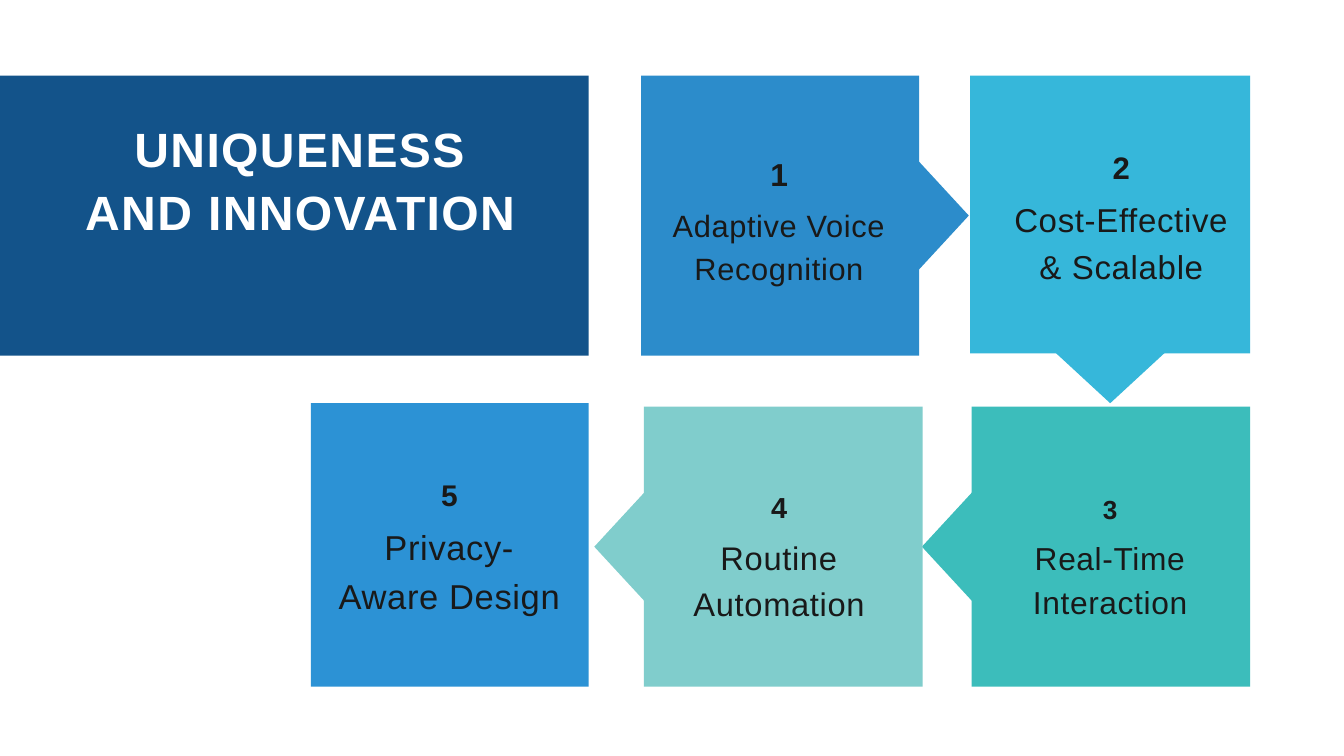
from dataclasses import dataclass

from pptx import Presentation
from pptx.dml.color import RGBColor
from pptx.enum.shapes import MSO_SHAPE
from pptx.enum.text import PP_ALIGN
from pptx.util import Pt

PX = 9525
RECT = MSO_SHAPE.RECTANGLE
TRIANGLE = MSO_SHAPE.ISOSCELES_TRIANGLE
CENTER = PP_ALIGN.CENTER


@dataclass(frozen=True)
class Theme:
    """Colours, font and shared type sizes of the slide."""
    font: str = "Arial"
    ink: str = "191919"
    white: str = "FFFFFF"
    title_fill: str = "13538A"
    title_size: float = 51.5
    title_leading: float = 1.3
    title_spacing: float = 1.5
    number_leading: float = 1.2
    number_spacing: float = 0.1
    label_leading: float = 1.4
    label_spacing: float = 0.7


@dataclass(frozen=True)
class Step:
    """One numbered tile: its box, pointer direction, text box offsets and sizes."""
    box: tuple
    fill: str
    pointer: tuple
    label: str
    text_left: int
    number_top: int
    label_top: int
    number_size: float
    label_size: float


THEME = Theme()
RIGHT, DOWN, LEFT = (1, 0), (0, 1), (-1, 0)
ROTATION = {RIGHT: 90, DOWN: 180, LEFT: 270}
POINTER_W, POINTER_H, POINTER_OFFSET = 156, 72, 35
TEXT_W = 324
TITLE_BOX = (0, 108, 841, 400)
STEPS = [
    Step((916, 108, 397, 400), "2C8CCB", RIGHT, "Adaptive Voice Recognition",
         35, 113, 178, 34, 33),
    Step((1386, 108, 400, 397), "36B7DA", DOWN, "Cost-Effective & Scalable",
         54, 104, 168, 33.3, 35.4),
    Step((1388, 581, 398, 400), "3CBDBB", LEFT, "Real-Time Interaction",
         36, 124, 179, 28, 34),
    Step((920, 581, 398, 400), "80CDCC", LEFT, "Routine Automation",
         31, 118, 178, 31, 35),
    Step((444, 576, 397, 405), "2C92D5", None, "Privacy-Aware Design",
         36, 105, 166, 32, 37),
]


def to_emu(box):
    """Turn a px box into whole EMU lengths."""
    return [round(v * PX) for v in box]


def add_block(s, kind, box, color, rotation=0):
    """Add a plain filled shape without line or shadow."""
    sp = s.shapes.add_shape(kind, *to_emu(box))
    sp.shadow.inherit = False
    sp.fill.solid()
    sp.fill.fore_color.rgb = RGBColor.from_string(color)
    sp.line.fill.background()
    sp.rotation = rotation


def add_text(s, box, text, size, color, leading, spacing, bold=False):
    """Add a centred, wrapped text box with fixed line height and letter spacing."""
    tf = s.shapes.add_textbox(*to_emu(box)).text_frame
    tf.word_wrap = True
    tf.margin_left = tf.margin_top = tf.margin_right = tf.margin_bottom = 0
    p = tf.paragraphs[0]
    p.alignment = CENTER
    p.line_spacing = Pt(round(size * leading, 1))
    r = p.add_run()
    r.text = text
    r.font.name = THEME.font
    r.font.size = Pt(size)
    r.font.bold = bold
    r.font.color.rgb = RGBColor.from_string(color)
    r.font._element.set("spc", str(round(spacing * 100)))


def add_title(s, box):
    """Place the title band and its heading."""
    x, y, _, _ = box
    add_block(s, RECT, box, THEME.title_fill)
    add_text(s, (x + 108, y + 56, 642, 266), "UNIQUENESS AND INNOVATION",
             THEME.title_size, THEME.white, THEME.title_leading,
             THEME.title_spacing, bold=True)


def add_pointer(s, box, direction, color):
    """Place a triangle at the middle of the tile side that it points out of."""
    x, y, w, h = box
    dx, dy = direction
    cx = x + w / 2 + dx * (w / 2 + POINTER_OFFSET)
    cy = y + h / 2 + dy * (h / 2 + POINTER_OFFSET)
    add_block(s, TRIANGLE,
              (cx - POINTER_W / 2, cy - POINTER_H / 2, POINTER_W, POINTER_H),
              color, ROTATION[direction])


def add_step(s, number, step):
    """Place one tile with its pointer, number and label."""
    x, y, _, _ = step.box
    left = x + step.text_left
    add_block(s, RECT, step.box, step.fill)
    if step.pointer:
        add_pointer(s, step.box, step.pointer, step.fill)
    add_text(s, (left, y + step.number_top, TEXT_W, 52), str(number),
             step.number_size, THEME.ink, THEME.number_leading,
             step.number_size * THEME.number_spacing, bold=True)
    add_text(s, (left, y + step.label_top, TEXT_W, 126), step.label,
             step.label_size, THEME.ink, THEME.label_leading,
             THEME.label_spacing)


def main():
    """Build the slide and save it."""
    prs = Presentation()
    prs.slide_width, prs.slide_height = 1920 * PX, 1080 * PX
    s = prs.slides.add_slide(prs.slide_layouts[6])
    add_title(s, TITLE_BOX)
    for number, step in enumerate(STEPS, 1):
        add_step(s, number, step)
    prs.save("out.pptx")


if __name__ == "__main__":
    main()
